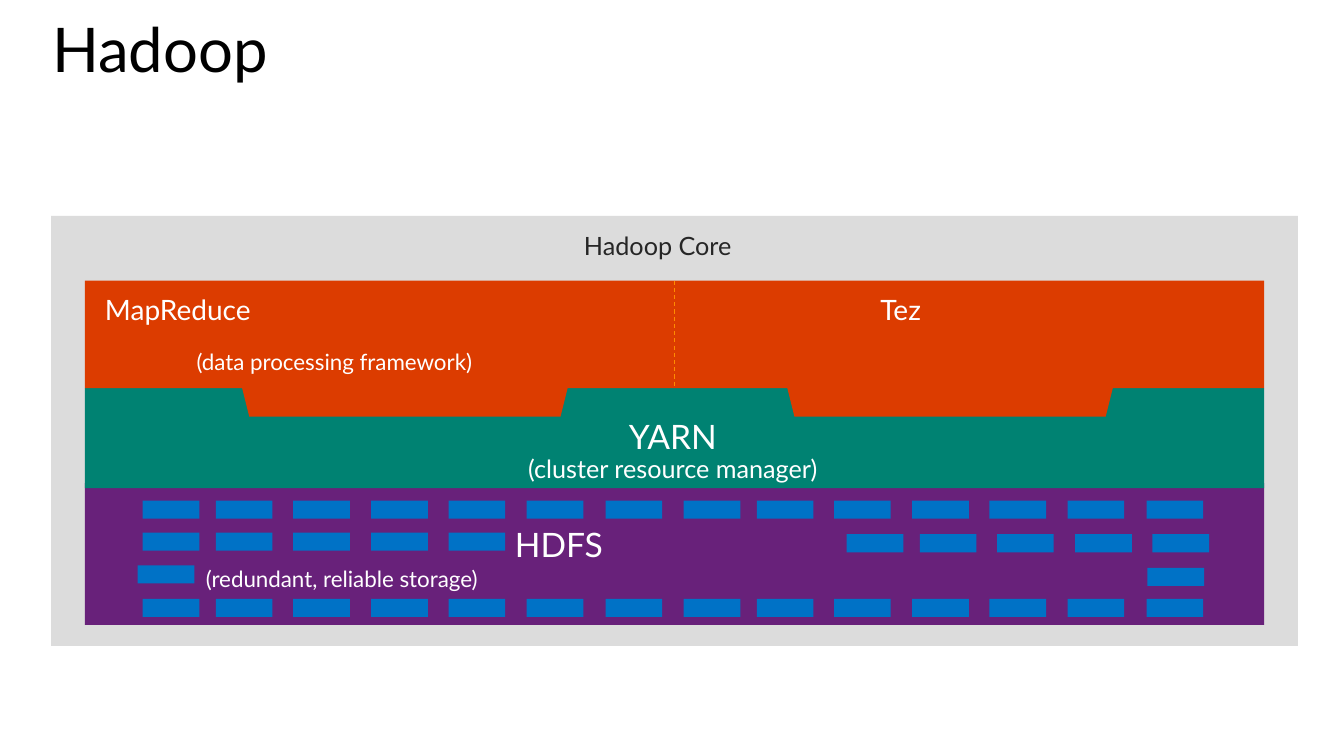
from dataclasses import dataclass
from itertools import chain

from lxml.etree import SubElement
from pptx import Presentation
from pptx.dml.color import RGBColor
from pptx.enum.dml import MSO_LINE_DASH_STYLE as Dash
from pptx.enum.shapes import MSO_CONNECTOR as Connector, MSO_SHAPE as Preset
from pptx.enum.text import MSO_ANCHOR as Anchor, PP_ALIGN as Align
from pptx.oxml.ns import qn
from pptx.util import Inches, Pt


@dataclass(frozen=True)
class Theme:
    font: str = "Lato"
    black: str = "000000"
    ink: str = "262626"
    white: str = "FFFFFF"
    core: str = "DCDCDC"
    processing: str = "DC3C00"
    yarn: str = "008272"
    hdfs: str = "68217A"
    block: str = "0072C6"
    divider: str = "FF8C00"
    title_size: int = 44
    layer_size: int = 24
    engine_size: int = 20
    caption_size: int = 18
    note_size: int = 16


THEME = Theme()
WIDTH, HEIGHT = Inches(13.33), Inches(7.5)
COLUMNS, ROWS = 160, 90
ROOMY = (2.4, 1.92)
SNUG = (1.2, 0.6)
STACK_LEFT, STACK_WIDTH = 10.1, 140.4
BLOCK_SIZE = (6.75, 2.15)
BLOCK_OFFSETS = (0, 8.7, 17.9, 27.2, 36.4, 45.7, 55.1)
LEFT_HALF, RIGHT_HALF = 17, 81.4


def across(columns):
    return round(WIDTH * columns / COLUMNS)


def down(rows):
    return round(HEIGHT * rows / ROWS)


def place(left, top, width, height):
    return across(left), down(top), across(width), down(height)


def apply(target, values):
    for name, value in values.items():
        setattr(target, name, value)


def add_panel(shapes, area, color, preset=Preset.RECTANGLE, rotation=0):
    panel = shapes.add_shape(preset, *place(*area))
    panel.shadow.inherit = False
    panel.rotation = rotation
    panel.fill.solid()
    panel.fill.fore_color.rgb = RGBColor.from_string(color)
    panel.line.fill.background()
    return panel


def add_label(shapes, area, lines, color=THEME.white, insets=ROOMY,
              align=Align.LEFT, anchor=Anchor.TOP, spacing=0.9, after=6):
    frame = shapes.add_textbox(*place(*area)).text_frame
    side, edge = across(insets[0]), down(insets[1])
    apply(frame, {
        "word_wrap": True, "vertical_anchor": anchor,
        "margin_left": side, "margin_right": side,
        "margin_top": edge, "margin_bottom": edge,
    })
    paragraph = frame.paragraphs[0]
    apply(paragraph, {"alignment": align, "line_spacing": spacing,
                      "space_after": Pt(after)})
    for index, (wording, size) in enumerate(lines):
        if index:
            paragraph.add_line_break()
        run = paragraph.add_run()
        run.text = wording
        apply(run.font, {"name": THEME.font, "size": Pt(size)})
        run.font.color.rgb = RGBColor.from_string(color)


def add_divider(shapes, layer):
    middle = layer.left + layer.width // 2
    divider = shapes.add_connector(Connector.STRAIGHT, middle, layer.top,
                                   middle, layer.top + layer.height)
    divider.begin_connect(layer, 0)
    divider.end_connect(layer, 2)
    divider.line.color.rgb = RGBColor.from_string(THEME.divider)
    apply(divider.line, {"width": Pt(0.75), "dash_style": Dash.DASH})
    SubElement(divider._element.spPr, qn("a:effectLst"))


def add_blocks(shapes, start, top, count=len(BLOCK_OFFSETS)):
    for offset in BLOCK_OFFSETS[:count]:
        add_panel(shapes, (start + offset, top, *BLOCK_SIZE), THEME.block)


def add_storage(shapes):
    add_panel(shapes, (STACK_LEFT, 57.5, STACK_WIDTH, 16.9), THEME.hdfs)
    full_rows = ((start, top, 7) for top in (59.6, 71.3)
                 for start in (LEFT_HALF, RIGHT_HALF))
    partial_rows = ((LEFT_HALF, 63.4, 5), (100.8, 63.6, 5),
                    (16.4, 67.3, 1), (136.6, 67.6, 1))
    for start, top, count in chain(full_rows, partial_rows):
        add_blocks(shapes, start, top, count)
    add_label(shapes, (58.9, 61, 47.2, 6.2), [("HDFS", THEME.layer_size)])
    add_label(shapes, (23.3, 67, 110.4, 4.1),
              [("(redundant, reliable storage)", THEME.note_size)], insets=SNUG)


def add_resource_manager(shapes):
    add_panel(shapes, (STACK_LEFT, 46.2, STACK_WIDTH, 11.9), THEME.yarn)
    add_label(shapes, (56.5, 48.2, 47.2, 6.2),
              [("YARN", THEME.layer_size),
               ("(cluster resource manager)", THEME.caption_size)],
              align=Align.CENTER)


def add_processing(shapes):
    layer = add_panel(shapes, (STACK_LEFT, 33.4, STACK_WIDTH, 12.8),
                      THEME.processing)
    for left in (28.8, 93.7):
        add_panel(shapes, (left, 46.1, 38.8, 3.5), THEME.processing,
                  Preset.TRAPEZOID, 180)
    for engine, left, width in (("MapReduce", STACK_LEFT, 70.6),
                                ("Tez", 102.4, 35.6)):
        add_label(shapes, (left, 33.5, width, 7.4),
                  [(engine, THEME.engine_size)])
    add_divider(shapes, layer)
    add_label(shapes, (22.2, 41.2, 110.9, 4.1),
              [("(data processing framework)", THEME.note_size)], insets=SNUG)


def main():
    deck = Presentation()
    apply(deck, {"slide_width": WIDTH, "slide_height": HEIGHT})
    slide = deck.slides.add_slide(deck.slide_layouts[6])
    add_label(slide.shapes, (5, 2.4, 151.2, 13.9),
              [("Hadoop", THEME.title_size)], THEME.black, SNUG,
              spacing=0.8, after=0)
    diagram = slide.shapes.add_group_shape().shapes
    add_panel(diagram, (6.1, 25.7, 148.4, 51.2), THEME.core)
    add_label(diagram, (6.1, 27.4, 144.4, 4),
              [("Hadoop Core", THEME.caption_size)], THEME.ink,
              align=Align.CENTER, anchor=Anchor.MIDDLE)
    add_storage(diagram)
    add_resource_manager(diagram)
    add_processing(diagram)
    deck.save("out.pptx")


if __name__ == "__main__":
    main()
